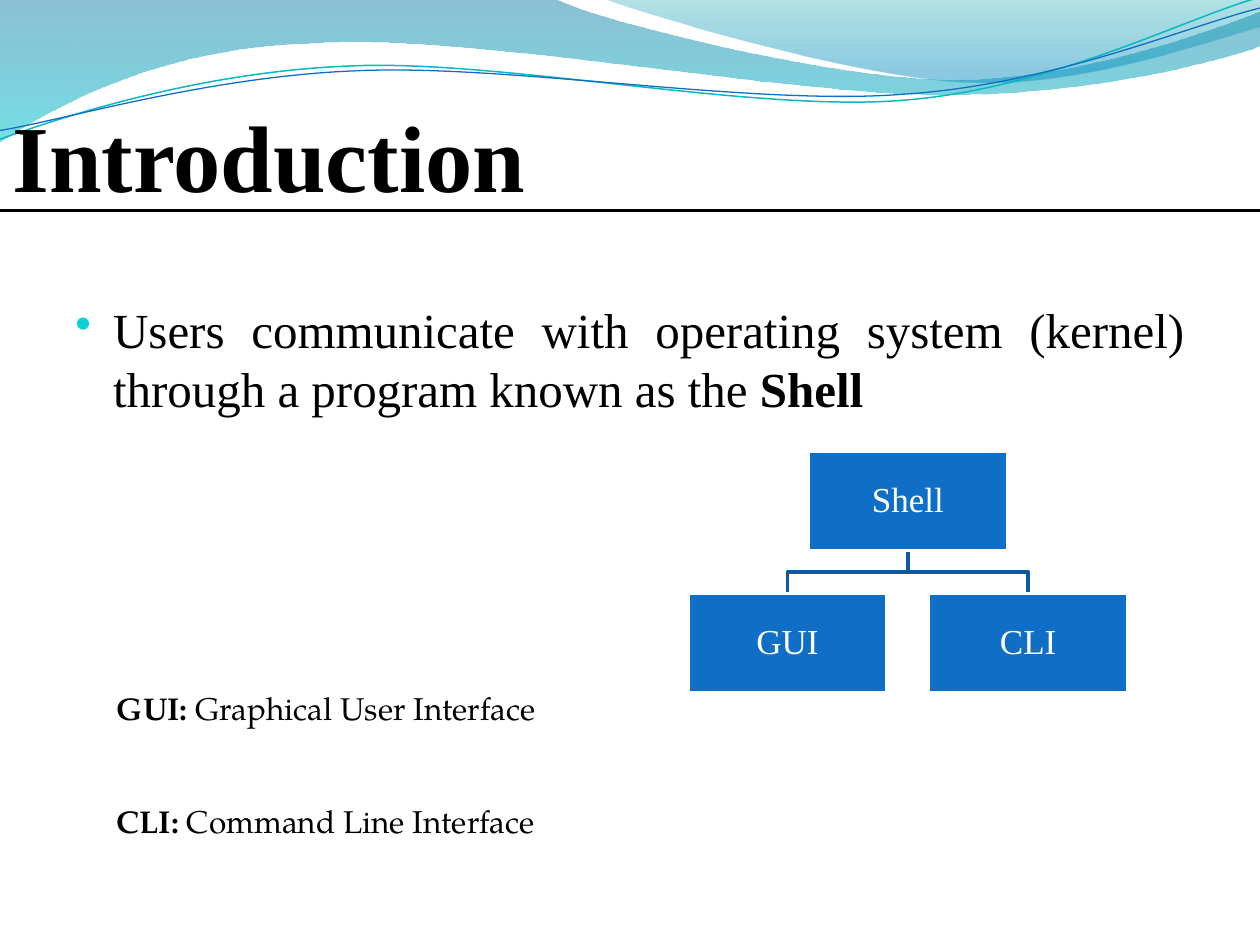
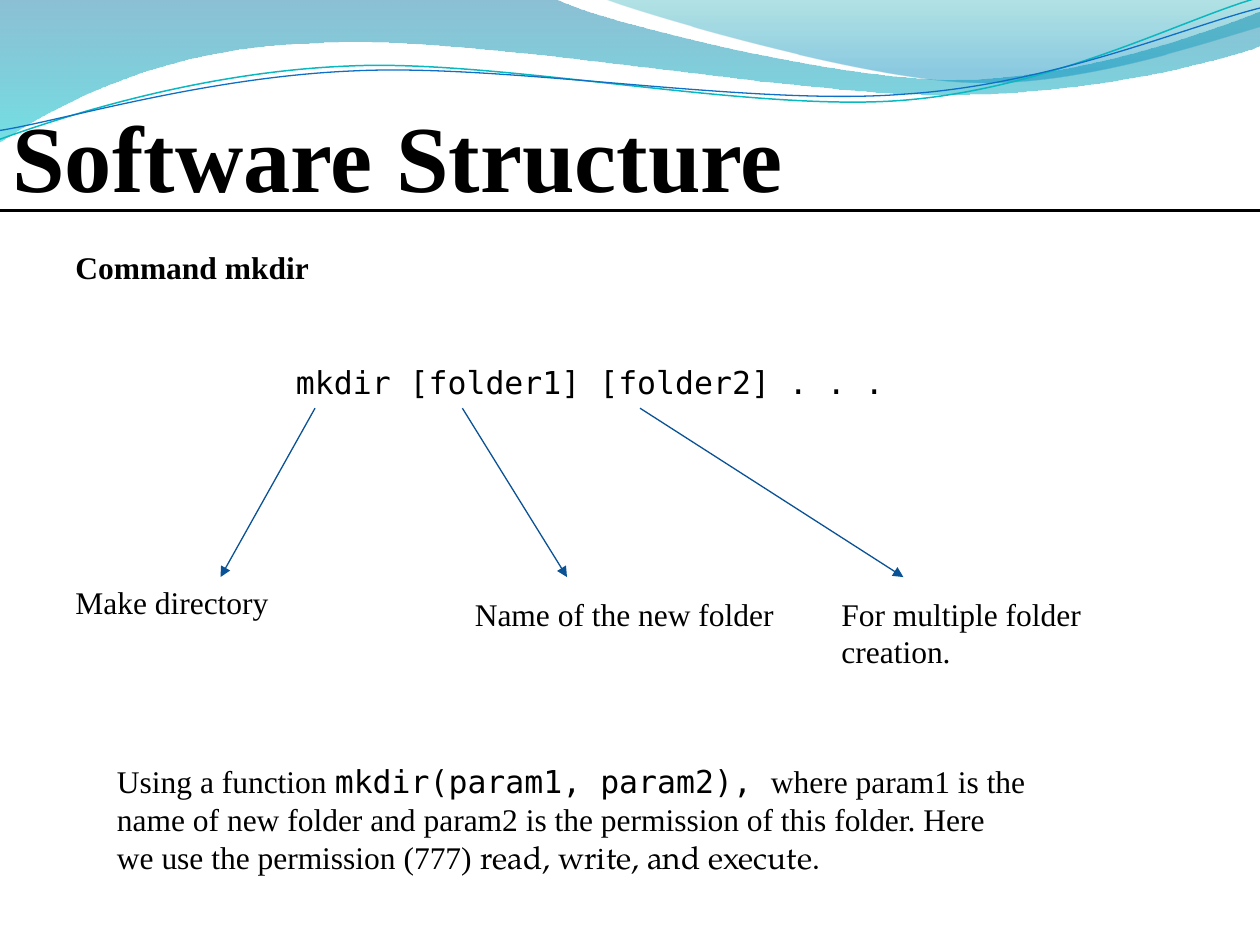
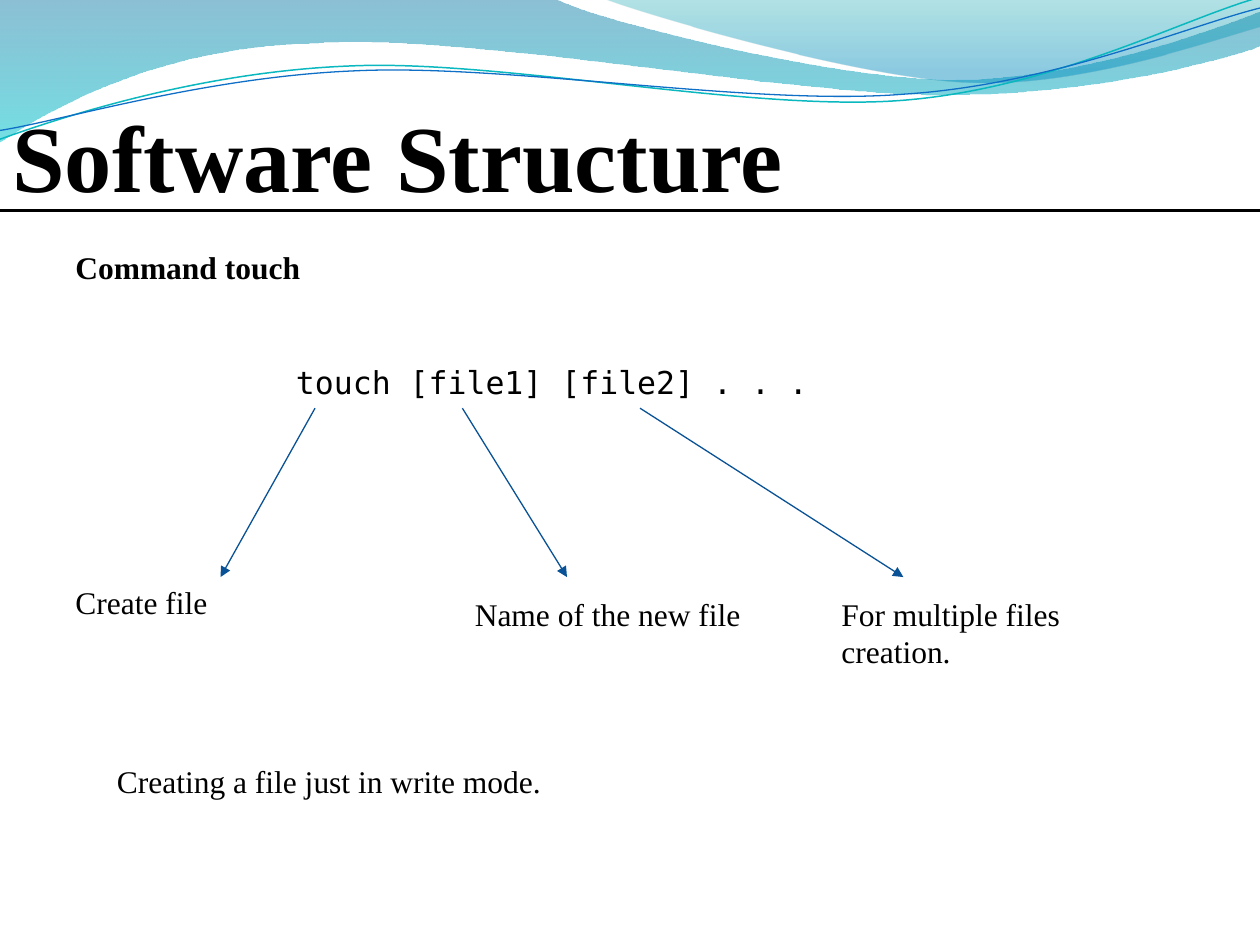
import pptx
import pptx.util
import pptx.dml.color
import pptx.enum.shapes
import pptx.enum.text
import pptx.oxml
import pptx.oxml.ns
from lxml import etree
from pptx.util import Inches, Pt
from pptx.dml.color import RGBColor

BLACK = RGBColor(0x00, 0x00, 0x00)
WHITE = RGBColor(0xFF, 0xFF, 0xFF)
BLUE = RGBColor(0x0F, 0x6F, 0xC6)
TREE_LINE = RGBColor(0x0C, 0x59, 0x9F)
ARROW = RGBColor(0x09, 0x52, 0x95)
TEAL = RGBColor(0x0A, 0xB8, 0xBF)
BULLET = RGBColor(0x0B, 0xD0, 0xD9)
DEEP_BLUE = RGBColor(0x00, 0x74, 0xA1)
AQUA = RGBColor(0x00, 0xC6, 0xCF)
SEA = RGBColor(0x00, 0xA1, 0xA9)
SKY = RGBColor(0x00, 0x8B, 0xBF)

SERIF = "Times New Roman"
BOOK = "TeX Gyre Pagella"
MONO = "DejaVu Sans Mono"
SYMBOL = "OpenSymbol"
ALIGN = pptx.enum.text.PP_ALIGN
WAVE_ROTATION = 357.3

FILLED_WAVES = [
    ([[(0, 0)], [(4.4, -0.01)],
      [(4.76, 0.17), (6.64, 0.63), (7.58, 0.63)], [(8.53, 0.63), (9.58, 0.26), (10, 0.09)],
      [(10.01, 0.36)],
      [(9.83, 0.44), (8.7, 0.76), (7.46, 0.75)], [(6.22, 0.75), (3.82, 0.28), (2.57, 0.34)],
      [(1.29, 0.36), (0.46, 0.83), (-0.01, 1.13)], [(0, 0)]],
     [(0, DEEP_BLUE, 45), (1, AQUA, 55)]),
    ([[(4.79, -0.01)],
      [(5.09, 0.11), (6.82, 0.62), (7.69, 0.65)], [(8.56, 0.69), (9.61, 0.32), (10, 0.21)],
      [(10, 0)], [(4.79, -0.01)]],
     [(0, SEA, 30), (0.8, SKY, 45)]),
]
LINE_WAVES = [
    ([[(-0.02, 0.87)], [(0.47, 0.72), (1.58, 0.41), (2.78, 0.42)],
      [(3.96, 0.42), (5.91, 0.93), (7.12, 0.9)], [(8.32, 0.87), (9.4, 0.36), (10, 0.22)]],
     TEAL, 0.85),
    ([[(-0.02, 0.8)], [(0.46, 0.75), (1.64, 0.45), (2.83, 0.46)],
      [(4.03, 0.46), (5.96, 0.89), (7.16, 0.85)], [(8.35, 0.83), (9.42, 0.42), (10.02, 0.3)]],
     BLUE, 0.75),
]


def add_element(parent, tag, **attributes):
    """Append a drawing element with the given attributes."""
    element = etree.SubElement(parent, pptx.oxml.ns.qn(tag))
    for name, value in attributes.items():
        element.set(name, str(value))
    return element


def add_bullet(paragraph, indent):
    """Give a paragraph a coloured round bullet and a hanging indent."""
    properties = paragraph._p.get_or_add_pPr()
    properties.set("marL", str(Inches(indent)))
    properties.set("indent", str(-Inches(indent)))
    add_element(add_element(properties, "a:buClr"), "a:srgbClr", val=BULLET)
    add_element(properties, "a:buSzPct", val=95000)
    add_element(properties, "a:buFont", typeface=SYMBOL)
    add_element(properties, "a:buChar", char="•")


def write_text(frame, paragraphs, size=18, font=SERIF, bold=False, color=BLACK,
               align=ALIGN.LEFT, gap=0, line_spacing=None, bullet_indent=None):
    """Fill a text frame with paragraphs made of (text, overrides) runs."""
    frame.word_wrap = True
    for index, runs in enumerate(paragraphs):
        paragraph = frame.paragraphs[0] if index == 0 else frame.add_paragraph()
        if bullet_indent:
            add_bullet(paragraph, bullet_indent)
        paragraph.alignment = align
        if line_spacing:
            paragraph.line_spacing = line_spacing
        if index:
            paragraph.space_before = Pt(gap)
        for text, overrides in runs:
            run = paragraph.add_run()
            run.text = text
            run.font.size = Pt(size)
            run.font.name = overrides.get("font", font)
            run.font.bold = overrides.get("bold", bold)
            run.font.color.rgb = color


def add_text(slide, box, paragraphs, **text_format):
    """Add a text box; a plain string is one paragraph with one run."""
    if isinstance(paragraphs, str):
        paragraphs = [[(paragraphs, {})]]
    shape = slide.shapes.add_textbox(*(Inches(length) for length in box))
    write_text(shape.text_frame, paragraphs, **text_format)


def add_outline(slide, left, top, segments, close=False):
    """Build a freeform of lines (one point) and cubic curves (three points)."""
    corners = [(Inches(left + x), Inches(top + y)) for segment in segments for x, y in segment]
    builder = slide.shapes.build_freeform(*corners[0])
    builder.add_line_segments(corners[1:], close=close)
    shape = builder.convert_to_shape()
    shape.shadow.inherit = False
    lines = iter(list(shape._element.iter(pptx.oxml.ns.qn("a:lnTo"))))
    for segment in segments[1:]:
        steps = [next(lines) for _ in segment]
        if len(steps) == 3:
            curve = etree.Element(pptx.oxml.ns.qn("a:cubicBezTo"))
            steps[0].addprevious(curve)
            for step in steps:
                curve.append(step[0])
                step.getparent().remove(step)
    return shape


def add_stroke(slide, left, top, segments, color, width):
    """Draw an open outline without fill."""
    shape = add_outline(slide, left, top, segments)
    shape.fill.background()
    shape.line.color.rgb = color
    shape.line.width = Pt(width)
    return shape


def add_line(slide, start, end, color, width):
    """Draw a straight connector without a shadow."""
    connector = slide.shapes.add_connector(
        pptx.enum.shapes.MSO_CONNECTOR.STRAIGHT,
        *(Inches(length) for length in (*start, *end)))
    connector.line.color.rgb = color
    connector.line.width = Pt(width)
    add_element(connector._element.spPr, "a:effectLst")
    return connector


def add_arrow(slide, start, end):
    """Draw a thin arrow from a command part to its label."""
    connector = add_line(slide, start, end, ARROW, 0.75)
    line = connector._element.spPr.find(pptx.oxml.ns.qn("a:ln"))
    add_element(line, "a:tailEnd", type="triangle")


def add_waves(slide, left, top):
    """Draw the wave band along the top of a slide."""
    for segments, stops in FILLED_WAVES:
        shape = add_outline(slide, left, top, segments, close=True)
        shape.line.fill.background()
        shape.fill.gradient()
        shape.fill.gradient_angle = 270
        for gradient_stop, (position, color, _) in zip(shape.fill.gradient_stops, stops):
            gradient_stop.position = position
            gradient_stop.color.rgb = color
        colors = shape._element.spPr.iter(pptx.oxml.ns.qn("a:srgbClr"))
        for element, (_, _, opacity) in zip(list(colors), stops):
            add_element(element, "a:alpha", val=opacity * 1000)
    for segments, color, width in LINE_WAVES:
        add_stroke(slide, left, top, segments, color, width).rotation = WAVE_ROTATION


def add_title(slide, box, title):
    """Add the slide title and the rule near its foot."""
    left, top, width, height = box
    add_text(slide, box, title, size=54, bold=True)
    rule = top + height - 0.07
    add_line(slide, (left, rule), (left + width, rule), BLACK, 2)


def start_slide(presentation, title):
    """Add a blank slide with the shared waves and title."""
    slide = presentation.slides.add_slide(presentation.slide_layouts[6])
    add_waves(slide, 0, 0)
    add_title(slide, (0, 0.73, 10, 1.01), title)
    return slide


def add_tree(slide, left, top, parent, children):
    """Draw a parent node above a row of linked child nodes."""
    width, height, column, row = 1.58, 0.79, 1.91, 1.13
    parent_left = left + column * (len(children) - 1) / 2
    child_lefts = [left + column * index for index in range(len(children))]
    middle, link = width / 2, row - height
    for child_left in reversed(child_lefts):
        shift = child_left - parent_left
        elbow = [[(0, 0)], [(0, link / 2)], [(shift, link / 2)], [(shift, link)]]
        add_stroke(slide, parent_left + middle, top + height, elbow, TREE_LINE, 2)
    nodes = [(parent, parent_left, top)]
    nodes += [(name, child_left, top + row) for name, child_left in zip(children, child_lefts)]
    for name, node_left, node_top in nodes:
        node = slide.shapes.add_shape(
            pptx.enum.shapes.MSO_SHAPE.RECTANGLE,
            *(Inches(length) for length in (node_left, node_top, width, height)))
        node.shadow.inherit = False
        node.fill.solid()
        node.fill.fore_color.rgb = BLUE
        node.line.color.rgb = WHITE
        node.line.width = Pt(2)
        frame = node.text_frame
        frame.vertical_anchor = pptx.enum.text.MSO_ANCHOR.MIDDLE
        frame.margin_left = frame.margin_right = Inches(0.01)
        frame.margin_top = frame.margin_bottom = Inches(0.01)
        write_text(frame, [[(name, {})]], size=20, color=WHITE, align=ALIGN.CENTER,
                   line_spacing=0.9)


def add_command(slide, left, top, command, labels):
    """Show a command line with an arrow from each part to its label."""
    add_text(slide, (left + 1.75, top, 5.08, 0.4), command, font=MONO)
    parts = [
        (2, 1.25, (0, 1.75, 2.75, 0.4)),
        (3.17, 4, (3.17, 1.84, 2.92, 0.4)),
        (4.58, 6.67, (6.08, 1.84, 2.5, 0.71)),
    ]
    for label, (start, end, (x, y, width, height)) in zip(labels, parts):
        add_arrow(slide, (left + start, top + 0.41), (left + end, top + 1.75))
        add_text(slide, (left + x, top + y, width, height), label)


def introduction_slide(presentation):
    """Build the slide that introduces the shell."""
    slide = start_slide(presentation, "Introduction")
    add_text(slide, (0.5, 2.33, 9, 1.25), [[
        ("Users communicate with operating system (kernel) through a program known as the ", {}),
        ("Shell", {"bold": True}),
    ]], size=28, align=ALIGN.JUSTIFY, bullet_indent=0.3)
    add_tree(slide, 5.46, 3.58, "Shell", ["GUI", "CLI"])
    meanings = [("GUI: ", "Graphical User Interface"), ("CLI: ", "Command Line Interface")]
    add_text(slide, (0.83, 5.42, 4.5, 1.31),
             [[(term, {"bold": True}), (meaning, {})] for term, meaning in meanings],
             font=BOOK, gap=43)


def command_slide(presentation, name, command, labels, note, note_height):
    """Build a slide that explains one command."""
    slide = start_slide(presentation, "Software Structure")
    add_text(slide, (0.5, 1.92, 9, 0.4), f"Command {name}", bold=True)
    add_command(slide, 0.5, 2.83, command, labels)
    add_text(slide, (0.83, 6, 7.42, note_height), note)


def main():
    """Build and save the presentation."""
    presentation = pptx.Presentation()
    presentation.slide_width = Inches(10)
    presentation.slide_height = Inches(7.5)
    introduction_slide(presentation)
    command_slide(
        presentation, "mkdir", "mkdir [folder1] [folder2] . . .",
        ["Make directory", "Name of the new folder", "For multiple folder creation."],
        [[("Using a function ", {}),
          ("mkdir(param1, param2), ", {"font": MONO}),
          ("where param1 is the name of new folder and param2 is the permission of this "
           "folder. Here we use the permission (777) ", {}),
          ("read, write, and execute.", {"font": BOOK})]], 1.01)
    command_slide(
        presentation, "touch", "touch [file1] [file2] . . .",
        ["Create file", "Name of the new file", "For multiple files creation."],
        "Creating a file just in write mode.", 0.4)
    presentation.save("out.pptx")


if __name__ == "__main__":
    main()
